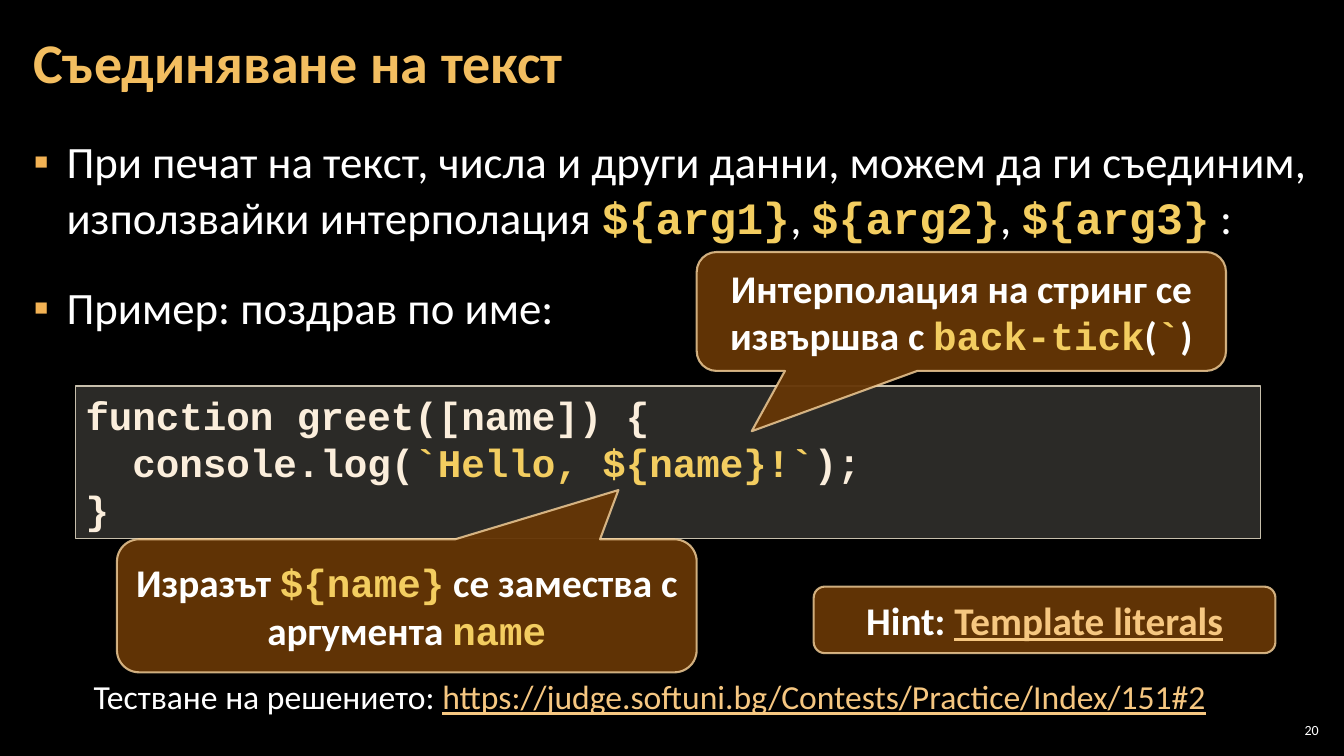
"""Build the slide about joining text with template literals."""
from lxml import etree
from pptx import Presentation
from pptx.dml.color import RGBColor
from pptx.enum import shapes, text
from pptx.oxml import ns
from pptx.util import Inches, Pt

SANS, MONO = "Calibri", "Courier New"
WHITE, GOLD, CREAM, LINK = "FFFFFF", "F3CD60", "FBEEDC", "F6C781"
BROWN, RIM, BULLET = "663606", "F8D49E", "F2B254"

PLAIN = dict(face=SANS, color=WHITE)
STRONG = dict(face=SANS, color=WHITE, bold=True)
KEY = dict(face=MONO, color=GOLD, bold=True)
CODE = dict(face=MONO, color=CREAM, bold=True)
LINKED = dict(face=SANS, color=LINK, underline=True)
STRONG_LINK = dict(LINKED, bold=True)

TITLE = [[("Съединяване на текст", dict(face=SANS, color="F3BE60", bold=True))]]
POINTS = [
    [("При печат на текст, числа и други данни, можем да ги съединим, "
      "използвайки интерполация ", PLAIN),
     ("${arg1}", KEY), (", ", PLAIN), ("${arg2}", KEY), (", ", PLAIN),
     ("${arg3}", KEY), (" :", PLAIN)],
    [("Пример: поздрав по име:", PLAIN)],
]
GREETING = [
    [("function greet([name]) {", CODE)],
    [("  console.log(", CODE), ("`Hello, ${name}!`", KEY), (");", CODE)],
    [("}", CODE)],
]
TESTING = [[("Тестване на решението: ", PLAIN),
            ("https://judge.softuni.bg/Contests/Practice/Index/151#2", LINKED)]]
PAGE = [[("20", PLAIN)]]

CALLOUT = shapes.MSO_SHAPE.ROUNDED_RECTANGULAR_CALLOUT
NOTES = [
    (CALLOUT, (1.16, 5.35, 5.75, 1.32), (0.365, -0.87, 0.167),
     [("Изразът ", STRONG), ("${name}", KEY), (" се замества с", STRONG),
      ("\n", STRONG), ("аргумента ", STRONG), ("name", KEY)]),
    (CALLOUT, (6.91, 2.5, 5.25, 1.18), (-0.396, 1.007, 0.167),
     [("Интерполация на стринг се извършва с ", STRONG), ("back-tick", KEY),
      ("(", STRONG), ("`", KEY), (")", STRONG)]),
    (shapes.MSO_SHAPE.ROUNDED_RECTANGLE, (8.07, 5.82, 4.58, 0.66), (0.167,),
     [("Hint: ", STRONG), ("Template literals", STRONG_LINK)]),
]


def paint(color, value):
    color.rgb = RGBColor.from_string(value)


def set_alpha(fill_parent, percent):
    color = fill_parent.find(ns.qn("a:solidFill"))[0]
    etree.SubElement(color, ns.qn("a:alpha"), val=str(percent * 1000))


def style_box(box, fill, fill_alpha, line, width):
    box.shadow.inherit = False
    box.fill.solid()
    paint(box.fill.fore_color, fill)
    set_alpha(box.fill._xPr, fill_alpha)
    paint(box.line.color, line)
    box.line.width = Pt(width)


def place(shape, area):
    shape.left, shape.top, shape.width, shape.height = map(Inches, area)


def write(shape, lines, size, align=text.PP_ALIGN.LEFT,
          anchor=text.MSO_ANCHOR.TOP, insets=(0.1, 0.05), spacing=None,
          fit=text.MSO_AUTO_SIZE.NONE):
    frame = shape.text_frame
    frame.word_wrap, frame.auto_size = True, fit
    frame.vertical_anchor = anchor
    frame.margin_left = frame.margin_right = Inches(insets[0])
    frame.margin_top = frame.margin_bottom = Inches(insets[1])
    for index, pieces in enumerate(lines):
        paragraph = frame.add_paragraph() if index else frame.paragraphs[0]
        paragraph.alignment = align
        paragraph.line_spacing = spacing
        for words, look in pieces:
            if words == "\n":
                paragraph.add_line_break()
                continue
            run = paragraph.add_run()
            run.text = words
            run.font.size = Pt(size)
            run.font.name = look["face"]
            run.font.bold = look.get("bold", False)
            run.font.underline = look.get("underline", False)
            paint(run.font.color, look["color"])
    return frame.paragraphs


def add_bullet(paragraph):
    props = paragraph._p.get_or_add_pPr()
    props.set("marL", str(Inches(0.33)))
    props.set("indent", str(-Inches(0.33)))
    tint = etree.SubElement(props, ns.qn("a:buClr"))
    etree.SubElement(tint, ns.qn("a:srgbClr"), val=BULLET)
    etree.SubElement(props, ns.qn("a:buChar"), char="▪")


def main():
    deck = Presentation()
    deck.slide_width, deck.slide_height = Inches(13.33), Inches(7.5)
    slide = deck.slides.add_slide(deck.slide_layouts[1])
    slide.background.fill.solid()
    paint(slide.background.fill.fore_color, "000000")
    middle = text.MSO_ANCHOR.MIDDLE
    grow = text.MSO_AUTO_SIZE.SHAPE_TO_FIT_TEXT

    title, points = slide.shapes.title, slide.placeholders[1]
    place(title, (0.21, 0.04, 10.47, 1.21))
    write(title, TITLE, 40, anchor=middle, insets=(0.12, 0.04), spacing=0.9)
    place(points, (0.21, 1.26, 12.91, 6.09))
    bullets = write(points, POINTS, 32, insets=(0.12, 0.04), spacing=1.05)
    for paragraph, before in zip(bullets, (0, 18)):
        paragraph.space_before, paragraph.space_after = Pt(before), Pt(6)
        add_bullet(paragraph)

    page = slide.shapes.add_textbox(*map(Inches, (12.65, 7.14, 0.47, 0.21)))
    write(page, PAGE, 10, text.PP_ALIGN.RIGHT, middle, (0.04, 0.04))

    greeting = slide.shapes.add_shape(
        shapes.MSO_SHAPE.RECTANGLE, *map(Inches, (0.75, 3.83, 11.75, 1.51)))
    style_box(greeting, "D9D5C7", 20, "C7BFAC", 1)
    write(greeting, GREETING, 28, fit=grow)

    testing = slide.shapes.add_textbox(*map(Inches, (0.83, 6.66, 11.67, 0.5)))
    write(testing, TESTING, 24, fit=grow)

    for kind, area, adjustments, pieces in NOTES:
        note = slide.shapes.add_shape(kind, *map(Inches, area))
        for index, value in enumerate(adjustments):
            note.adjustments[index] = value
        style_box(note, BROWN, 95, RIM, 1.5)
        set_alpha(note.line._ln, 80)
        write(note, [pieces], 28, text.PP_ALIGN.CENTER, middle)

    deck.save("out.pptx")


if __name__ == "__main__":
    main()
